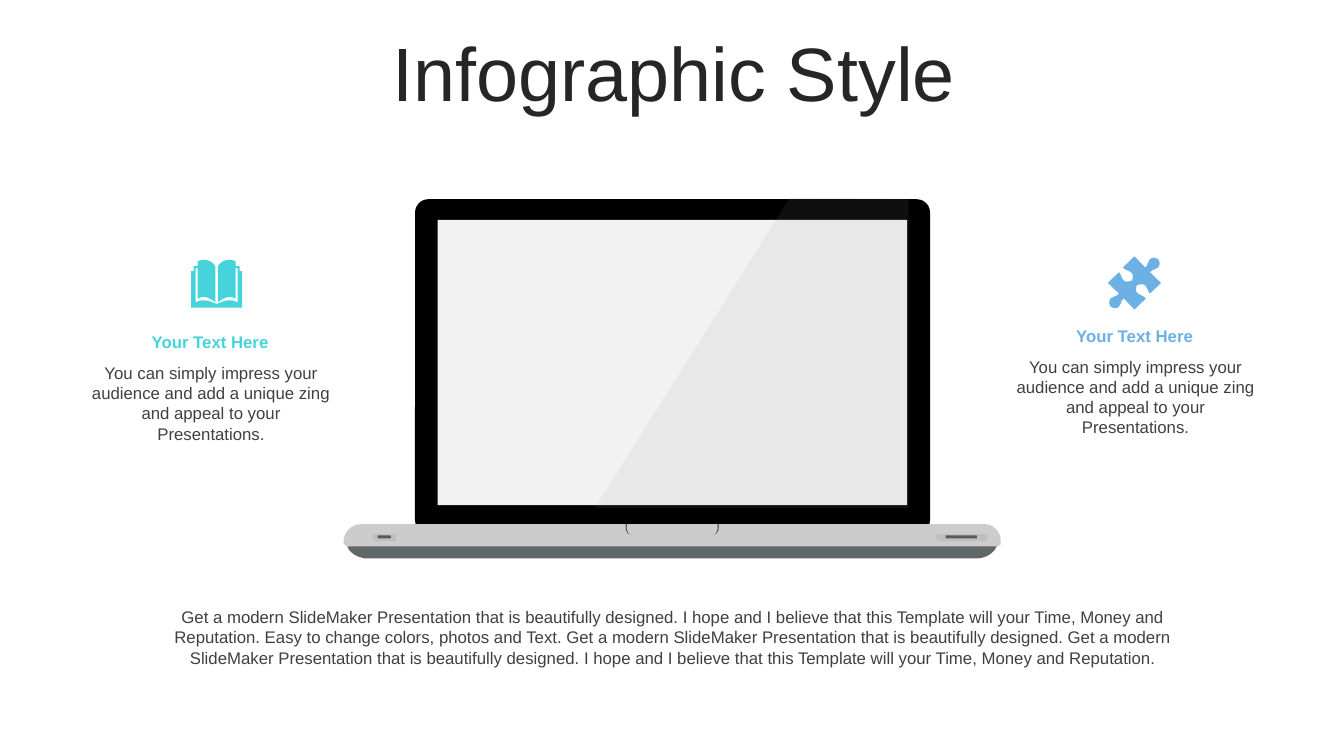
from dataclasses import dataclass

from pptx import Presentation
from pptx import util as u
from pptx.dml.color import RGBColor
from pptx.enum import shapes, text
from pptx.oxml import ns, xmlchemy


@dataclass(frozen=True)
class Theme:
    font: str = "Arial"
    title_size: int = 54
    body_size: int = 12
    title: str = "262626"
    body: str = "404040"
    turquoise: str = "47D3DC"
    blue: str = "6DB0E4"
    lid: str = "000000"
    screen: str = "F2F2F2"
    deck: str = "CCCCCC"
    underside: str = "5F6767"
    notch: str = "4D4D4D"
    port: str = "BFBFBF"
    slot: str = "595959"
    glare: str = "999999"


def paint(shape, color):
    shape.shadow.inherit = False
    shape.fill.solid()
    shape.fill.fore_color.rgb = RGBColor.from_string(color)
    shape.line.fill.background()


def draw_outline(contours):
    first_x, first_y = contours[0][0]
    builder = slide.shapes.build_freeform(u.Cm(first_x), u.Cm(first_y))
    for index, (start, *segments) in enumerate(contours):
        if index:
            builder.move_to(u.Cm(start[0]), u.Cm(start[1]))
        builder.add_line_segments([(u.Cm(s[-2]), u.Cm(s[-1])) for s in segments])
    outline = builder.convert_to_shape()
    every_segment = [segment for contour in contours for segment in contour[1:]]
    lines = list(outline.element.iter(ns.qn("a:lnTo")))
    for line, segment in zip(lines, every_segment):
        if len(segment) == 6:
            curve = xmlchemy.OxmlElement("a:cubicBezTo")
            for x, y in zip(segment[::2], segment[1::2]):
                point = xmlchemy.OxmlElement("a:pt")
                point.set("x", str(u.Cm(x) - outline.left))
                point.set("y", str(u.Cm(y) - outline.top))
                curve.append(point)
            line.getparent().replace(line, curve)
    return outline


theme = Theme()
presentation = Presentation()
presentation.slide_width = u.Cm(33.87)
presentation.slide_height = u.Cm(19.05)
slide = presentation.slides.add_slide(presentation.slide_layouts[5])

title = slide.shapes.title
title.left, title.top, title.width, title.height = u.Cm(0.9), u.Cm(0.94), u.Cm(32.16), u.Cm(2.01)
title.text_frame.text = "Infographic Style"
title.text_frame.auto_size = text.MSO_AUTO_SIZE.NONE
title.text_frame.vertical_anchor = text.MSO_ANCHOR.MIDDLE
paragraph = title.text_frame.paragraphs[0]
paragraph.alignment = text.PP_ALIGN.CENTER
paragraph.line_spacing = 0.9
paragraph.font.name = theme.font
paragraph.font.size = u.Pt(theme.title_size)
paragraph.font.color.rgb = RGBColor.from_string(theme.title)

underside = draw_outline([[
    (24.66, 14.07), (24.66, 14.07, 24.99, 14.05, 25.12, 13.77), (25.12, 13.6),
    (8.76, 13.6), (8.76, 13.79), (8.86, 14, 9.09, 14.05, 9.19, 14.07)]])
paint(underside, theme.underside)

lid = slide.shapes.add_shape(shapes.MSO_SHAPE.ROUNDED_RECTANGLE,
                             u.Cm(10.46), u.Cm(5.02), u.Cm(12.98), u.Cm(8.42))
lid.adjustments[0] = 0.04
paint(lid, theme.lid)

screen = slide.shapes.add_shape(shapes.MSO_SHAPE.RECTANGLE,
                                u.Cm(11.03), u.Cm(5.54), u.Cm(11.83), u.Cm(7.19))
paint(screen, theme.screen)

deck = draw_outline([[
    (9.09, 13.21), (24.82, 13.21), (25.04, 13.21, 25.22, 13.41, 25.22, 13.61),
    (25.22, 13.72), (25.15, 13.77), (8.74, 13.77), (8.66, 13.7), (8.66, 13.61),
    (8.69, 13.39, 8.86, 13.21, 9.09, 13.21)]])
paint(deck, theme.deck)

notch_half = [
    (1.14, 13.21), (1.17, 13.21), (1.2, 13.44, 1.09, 13.47, 1.02, 13.47),
    (1.09, 13.47, 1.17, 13.42, 1.14, 13.21)]
notch_center = 16.94
notch = draw_outline([[
    tuple(value if i % 2 else notch_center + mirror * value for i, value in enumerate(segment))
    for segment in notch_half] for mirror in (1, -1)])
paint(notch, theme.notch)

for left, top, width, height, color in (
        (9.4, 13.46, 0.58, 0.18, theme.port), (9.52, 13.49, 0.33, 0.08, theme.slot),
        (23.6, 13.46, 1.27, 0.18, theme.port), (23.83, 13.49, 0.79, 0.08, theme.slot)):
    port = slide.shapes.add_shape(shapes.MSO_SHAPE.ROUNDED_RECTANGLE,
                                  u.Cm(left), u.Cm(top), u.Cm(width), u.Cm(height))
    port.adjustments[0] = 0.28
    paint(port, color)

glare = draw_outline([[(19.91, 4.98), (22.89, 5), (22.89, 12.8), (14.99, 12.8)]])
paint(glare, theme.glare)
alpha = xmlchemy.OxmlElement("a:alpha")
alpha.set("val", "10000")
glare.element.find(".//" + ns.qn("a:srgbClr")).append(alpha)

heading = "Your Text Here"
pitch = "You can simply impress your audience and add a unique zing and appeal to your Presentations."
modern = "Get a modern SlideMaker Presentation that is beautifully designed."
hope = "I hope and I believe that this Template will your Time, Money and Reputation."
summary = f"{modern} {hope} Easy to change colors, photos and Text. {modern} {modern} {hope}"
for left, top, width, height, words, color, bold in (
        (1.98, 9.02, 6.68, 2.31, pitch, theme.body, False),
        (1.98, 8.23, 6.63, 0.76, heading, theme.turquoise, True),
        (25.28, 8.86, 6.68, 2.31, pitch, theme.body, False),
        (25.28, 8.09, 6.63, 0.76, heading, theme.blue, True),
        (3.94, 15.17, 26.06, 1.8, summary, theme.body, False)):
    box = slide.shapes.add_textbox(u.Cm(left), u.Cm(top), u.Cm(width), u.Cm(height))
    box.text_frame.word_wrap = True
    box.text_frame.text = words
    paragraph = box.text_frame.paragraphs[0]
    paragraph.alignment = text.PP_ALIGN.CENTER
    paragraph.font.name = theme.font
    paragraph.font.size = u.Pt(theme.body_size)
    paragraph.font.bold = bold
    paragraph.font.color.rgb = RGBColor.from_string(color)

puzzle_half = [
    (0.6, -0.6), (0.65, -0.55, 0.65, -0.47, 0.6, -0.39), (0.55, -0.32, 0.47, -0.37, 0.39, -0.27),
    (0.67, 0), (0.39, 0.27), (0.32, 0.19, 0.34, 0.11, 0.27, 0.06),
    (0.22, 0.01, 0.11, 0.04, 0.06, 0.06), (0.04, 0.11, 0.01, 0.22, 0.09, 0.27),
    (0.17, 0.34, 0.19, 0.29, 0.29, 0.39), (0, 0.67), (-0.27, 0.39),
    (-0.37, 0.47, -0.32, 0.55, -0.39, 0.6), (-0.47, 0.65, -0.55, 0.65, -0.6, 0.6)]
puzzle_center = (28.59, 7.13)
puzzle = draw_outline([[
    tuple(puzzle_center[i % 2] + turn * value for i, value in enumerate(segment))
    for turn, half in ((1, puzzle_half), (-1, puzzle_half[1:])) for segment in half]])
paint(puzzle, theme.blue)

book_half = [
    (0, 0.5), (0.03, 0.5), (0.23, 0.42, 0.33, 0.37, 0.53, 0.47), (0.53, -0.39), (0.48, -0.39),
    (0.48, 0.37), (0.33, 0.29, 0.18, 0.34, 0.03, 0.47), (0.03, -0.44),
    (0.1, -0.55, 0.2, -0.6, 0.3, -0.6), (0.36, -0.6, 0.41, -0.6, 0.48, -0.57),
    (0.48, -0.44), (0.58, -0.44), (0.58, -0.32), (0.64, -0.32), (0.64, 0.6), (0, 0.6)]
book_center = (5.46, 7.15)
book = draw_outline([[
    tuple(book_center[i % 2] + (value if i % 2 else mirror * value) for i, value in enumerate(segment))
    for segment in book_half] for mirror in (1, -1)])
paint(book, theme.turquoise)

presentation.save("out.pptx")
